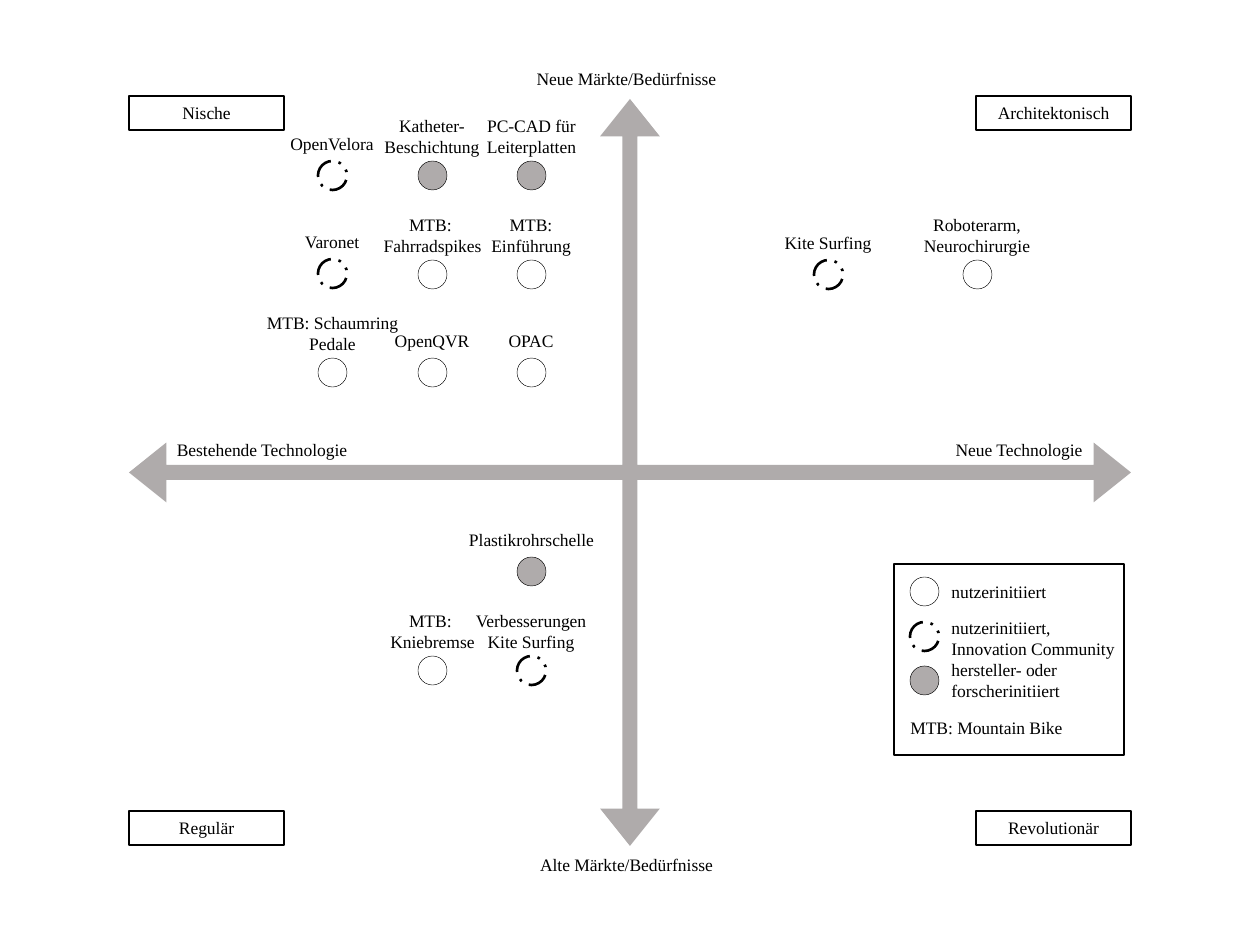
"""Build a quadrant slide of innovations by market and technology novelty."""
from dataclasses import dataclass
from enum import Enum

from pptx import Presentation
from pptx import util as u
from pptx.dml.color import RGBColor
from pptx.enum import dml, shapes, text

PX = 914400 // 126
SIZE = 29


@dataclass(frozen=True)
class Theme:
    font: str = "Times New Roman"
    size: float = 10
    black: RGBColor = RGBColor(0, 0, 0)
    white: RGBColor = RGBColor(255, 255, 255)
    gray: RGBColor = RGBColor(0xAF, 0xAB, 0xAB)
    thin: float = 0.25
    box: float = 0.75
    frame: float = 1
    dashed: float = 1.5


class Kind(Enum):
    USER = 1
    COMMUNITY = 2
    MAKER = 3


@dataclass(frozen=True)
class Label:
    x: int
    y: int
    w: int
    words: str
    lines: int = 1
    align: text.PP_ALIGN = text.PP_ALIGN.CENTER


@dataclass(frozen=True)
class Item:
    cx: int
    y: int
    kind: Kind
    words: str
    w: int = 118
    lines: int = 1


T = Theme()
C1, C2, C3, C4, C5 = 332, 432, 531, 828, 977
R1, R2, R3, R4, R5 = 161, 260, 358, 557, 656

ITEMS = [
    Item(C1, R1, Kind.COMMUNITY, "OpenVelora"),
    Item(C2, R1, Kind.MAKER, "Katheter-\nBeschichtung", 240, 2),
    Item(C3, R1, Kind.MAKER, "PC-CAD für Leiterplatten", 175, 2),
    Item(C1, R2 - 1, Kind.COMMUNITY, "Varonet"),
    Item(C2, R2, Kind.USER, "MTB: \nFahrradspikes", 175, 2),
    Item(C3, R2, Kind.USER, "MTB: Einführung", 118, 2),
    Item(C1, R3, Kind.USER, "MTB: Schaumring Pedale", 175, 2),
    Item(C2, R3, Kind.USER, "OpenQVR"),
    Item(C3, R3, Kind.USER, "OPAC"),
    Item(C4, R2, Kind.COMMUNITY, "Kite Surfing", 166),
    Item(C5, R2, Kind.USER, "Roboterarm, Neurochirurgie", 166, 2),
    Item(C3, R4, Kind.MAKER, "Plastikrohrschelle", 175),
    Item(C2, R5, Kind.USER, "MTB: \nKniebremse", 175, 2),
    Item(C3, R5, Kind.COMMUNITY, "Verbesserungen Kite Surfing", 166, 2),
]
AXES = [
    Label(940, 433, 158, "Neue Technologie"),
    Label(156, 433, 212, "Bestehende Technologie"),
    Label(430, 62, 393, "Neue Märkte/Bedürfnisse"),
    Label(430, 848, 393, "Alte Märkte/Bedürfnisse"),
]
CORNERS = [
    Label(129, 96, 155, "Nische"),
    Label(976, 96, 155, "Architektonisch"),
    Label(129, 811, 155, "Regulär"),
    Label(976, 811, 155, "Revolutionär"),
]
LEFT = text.PP_ALIGN.LEFT
LEGEND = [
    Label(939, 575, 160, "nutzerinitiiert", 1, LEFT),
    Label(939, 611, 200, "nutzerinitiiert, \nInnovation Community", 2, LEFT),
    Label(939, 653, 160, "hersteller- oder forscherinitiiert", 2, LEFT),
    Label(898, 711, 188, "MTB: Mountain Bike", 1, LEFT),
]
LEGEND_MARKERS = [(Kind.USER, 577), (Kind.COMMUNITY, 622), (Kind.MAKER, 666)]


def add_shape(s, preset, x: int, y: int, w: int, h: int,
              fill: RGBColor | None, line: float | None):
    """Add a flat shape; None leaves out its fill or outline."""
    sp = s.shapes.add_shape(preset, x * PX, y * PX, w * PX, h * PX)
    sp.shadow.inherit = False
    if fill is None:
        sp.fill.background()
    else:
        sp.fill.solid()
        sp.fill.fore_color.rgb = fill
    if line is None:
        sp.line.fill.background()
    else:
        sp.line.color.rgb = T.black
        sp.line.width = u.Pt(line)
    return sp


def set_text(sp, label: Label) -> None:
    """Fill a shape with the words of a label."""
    tf = sp.text_frame
    tf.word_wrap = True
    tf.auto_size = text.MSO_AUTO_SIZE.SHAPE_TO_FIT_TEXT
    tf.text = label.words
    for p in tf.paragraphs:
        p.alignment = label.align
        p.font.name = T.font
        p.font.size = u.Pt(T.size)
        p.font.color.rgb = T.black


def add_label(s, label: Label) -> None:
    """Add a label as a text box."""
    height = 34 if label.lines == 1 else 55
    set_text(s.shapes.add_textbox(label.x * PX, label.y * PX,
                                  label.w * PX, height * PX), label)


def add_marker(s, x: int, y: int, kind: Kind) -> None:
    """Add the circle that stands for a kind of initiator."""
    fill = T.gray if kind is Kind.MAKER else T.white
    line = T.dashed if kind is Kind.COMMUNITY else T.thin
    sp = add_shape(s, shapes.MSO_SHAPE.OVAL, x, y, SIZE, SIZE, fill, line)
    if kind is Kind.COMMUNITY:
        sp.line.dash_style = dml.MSO_LINE.DASH_DOT_DOT


def add_item(s, item: Item) -> None:
    """Add a marker with its label centred above."""
    add_marker(s, item.cx - SIZE // 2, item.y, item.kind)
    rise = 34 if item.lines == 1 else 52
    add_label(s, Label(item.cx - item.w // 2, item.y - rise, item.w,
                       item.words, item.lines))


def main() -> None:
    """Build and save the slide."""
    prs = Presentation()
    prs.slide_width, prs.slide_height = u.Inches(10), u.Inches(7.5)
    s = prs.slides.add_slide(prs.slide_layouts[6])
    rect = shapes.MSO_SHAPE.RECTANGLE

    cross = add_shape(s, shapes.MSO_SHAPE.QUAD_ARROW, 129, 99, 1002, 747, T.gray, None)
    for i, value in enumerate((0.02, 0.04, 0.05)):
        cross.adjustments[i] = value
    for label in AXES:
        add_label(s, label)
    for label in CORNERS:
        set_text(add_shape(s, rect, label.x, label.y, label.w, 34, None, T.box), label)
    for item in ITEMS:
        add_item(s, item)

    add_shape(s, rect, 894, 564, 230, 191, T.white, T.frame)
    for kind, y in LEGEND_MARKERS:
        add_marker(s, 910, y, kind)
    for label in LEGEND:
        add_label(s, label)
    prs.save("out.pptx")


main()
